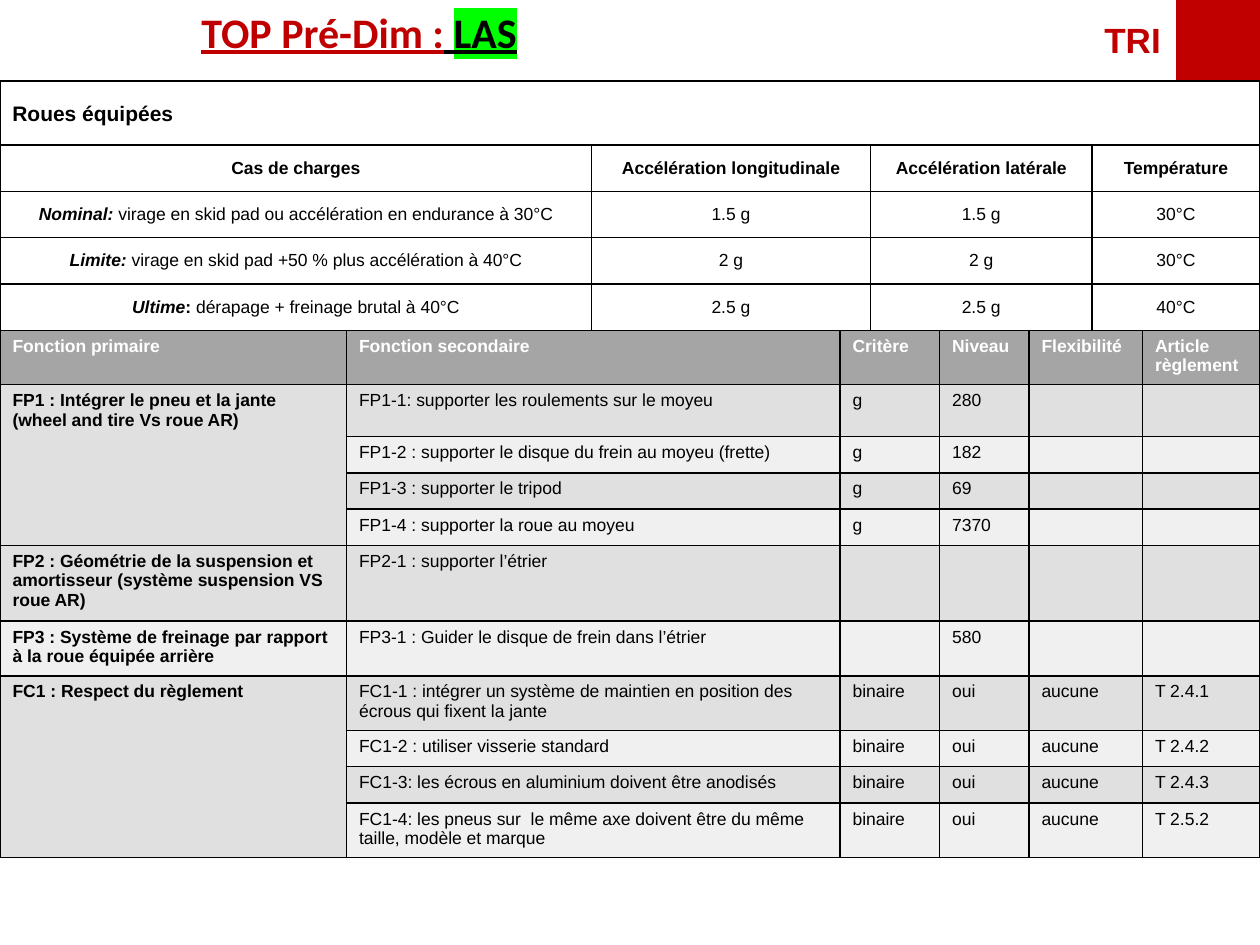
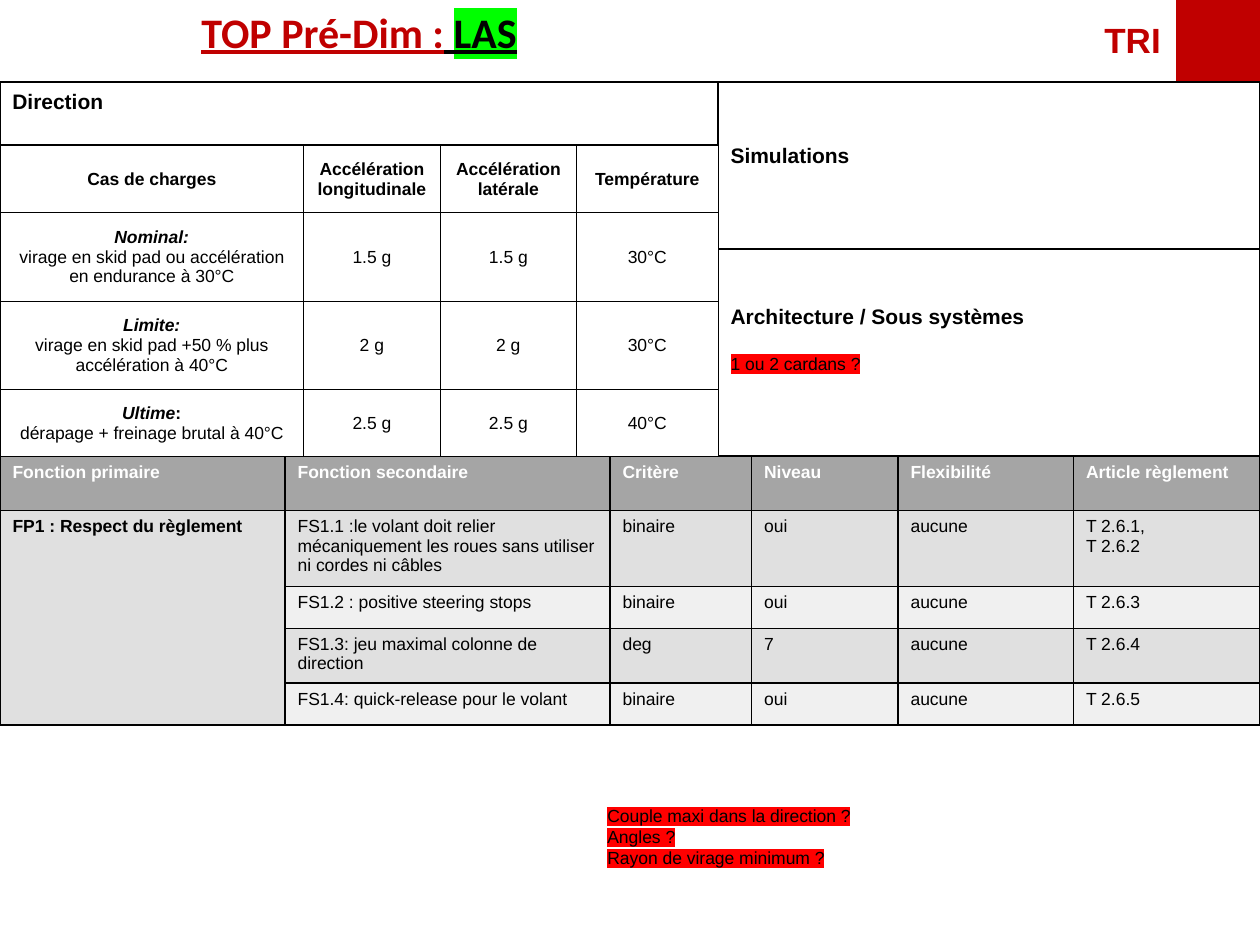
from dataclasses import dataclass

from lxml import etree
from pptx import Presentation
from pptx.dml.color import RGBColor
from pptx.enum.shapes import MSO_SHAPE as SHAPE
from pptx.enum.text import MSO_ANCHOR as ANCHOR, PP_ALIGN as ALIGN
from pptx.oxml.ns import qn
from pptx.util import Pt


@dataclass(frozen=True)
class Theme:
    red: str = "C00000"
    black: str = "000000"
    white: str = "FFFFFF"
    head: str = "A5A5A5"
    bands: tuple = ("E0E0E0", "F0F0F0")
    green_mark: str = "00FF00"
    red_mark: str = "FF0000"
    font: str = "Arial"
    title_font: str = "Calibri"
    title: int = 24
    tag: int = 20
    section: int = 12
    body: int = 10
    inset_x: float = 7.2
    inset_y: float = 3.6


T = Theme()
LEFT_W = 410.4
LINE_H = 13.8

LOAD_HEADS = ["Cas de charges", "Accélération longitudinale",
              "Accélération latérale", "Température"]
BOLD = {"bold": True}
BOLD_ITALIC = {"bold": True, "italic": True}
LOAD_CASES = [
    ([("Nominal:", BOLD_ITALIC)],
     "virage en skid pad ou accélération en endurance à 30°C", "1.5 g", "30°C"),
    ([("Limite:", BOLD_ITALIC)],
     "virage en skid pad +50 % plus accélération à 40°C", "2 g", "30°C"),
    ([("Ultime", BOLD_ITALIC), (":", BOLD)],
     "dérapage + freinage brutal à 40°C", "2.5 g", "40°C"),
]
FUNCTION_HEADS = ["Fonction primaire", "Fonction secondaire", "Critère",
                  "Niveau", "Flexibilité", "Article règlement"]
# An empty first column continues the primary function above.
WHEEL_FUNCTIONS = [
    ["FP1 : Intégrer le pneu et la jante (wheel and tire Vs roue AR)",
     "FP1-1: supporter les roulements sur le moyeu", "g", "280", "", ""],
    ["", "FP1-2 : supporter le disque du frein au moyeu (frette)",
     "g", "182", "", ""],
    ["", "FP1-3 : supporter le tripod", "g", "69", "", ""],
    ["", "FP1-4 : supporter la roue au moyeu", "g", "7370", "", ""],
    ["FP2 : Géométrie de la suspension et amortisseur "
     "(système suspension VS roue AR)",
     "FP2-1 : supporter l’étrier", "", "", "", ""],
    ["FP3 : Système de freinage par rapport à la roue équipée arrière",
     "FP3-1 : Guider le disque de frein dans l’étrier", "", "580", "", ""],
    ["FC1 : Respect du règlement",
     "FC1-1 : intégrer un système de maintien en position des écrous "
     "qui fixent la jante", "binaire", "oui", "aucune", "T 2.4.1"],
    ["", "FC1-2 : utiliser visserie standard",
     "binaire", "oui", "aucune", "T 2.4.2"],
    ["", "FC1-3: les écrous en aluminium doivent être anodisés",
     "binaire", "oui", "aucune", "T 2.4.3"],
    ["", "FC1-4: les pneus sur  le même axe doivent être du même taille, "
     "modèle et marque", "binaire", "oui", "aucune", "T 2.5.2"],
]
STEERING_FUNCTIONS = [
    ["FP1 : Respect du règlement",
     "FS1.1 :le volant doit relier mécaniquement les roues sans utiliser "
     "ni cordes ni câbles", "binaire", "oui", "aucune", "T 2.6.1,\nT 2.6.2"],
    ["", "FS1.2 : positive steering stops",
     "binaire", "oui", "aucune", "T 2.6.3"],
    ["", "FS1.3: jeu maximal colonne de direction",
     "deg", "7", "aucune", "T 2.6.4"],
    ["", "FS1.4: quick-release pour le volant",
     "binaire", "oui", "aucune", "T 2.6.5"],
]


def rgb(code):
    return RGBColor.from_string(code)


def pts(values):
    return [Pt(v) for v in values]


def style_run(r, size=T.body, color=T.black, font=T.font, bold=False,
              italic=False, underline=False, mark=None):
    f = r.font
    f.size, f.name = Pt(size), font
    f.bold, f.italic, f.underline = bold, italic, underline
    f.color.rgb = rgb(color)
    if mark:
        highlight = etree.Element(qn("a:highlight"))
        etree.SubElement(highlight, qn("a:srgbClr"), val=mark)
        r._r.rPr.find(qn("a:solidFill")).addnext(highlight)


def write(tf, paragraphs, align=ALIGN.LEFT):
    """Fill a text frame; each paragraph is a list of (text, style) runs."""
    for i, runs in enumerate(paragraphs):
        p = tf.add_paragraph() if i else tf.paragraphs[0]
        p.alignment = align
        for text, style in runs:
            r = p.add_run()
            r.text = text
            style_run(r, **style)
        if not runs:
            etree.SubElement(p._p, qn("a:endParaRPr"), sz=str(T.body * 100))


def plain(text, **style):
    """Turn lines of text into paragraphs of one run each."""
    return [[(line, style)] if line else [] for line in text.split("\n")]


def add_text(slide, box, paragraphs, align=ALIGN.LEFT):
    tf = slide.shapes.add_textbox(*pts(box)).text_frame
    tf.word_wrap = True
    write(tf, paragraphs, align)
    return tf


def add_rect(slide, box, fill=None, line=None):
    sp = slide.shapes.add_shape(SHAPE.RECTANGLE, *pts(box))
    sp.shadow.inherit = False
    if fill:
        sp.fill.solid()
        sp.fill.fore_color.rgb = rgb(fill)
    else:
        sp.fill.background()
    if line:
        sp.line.color.rgb = rgb(line)
        sp.line.width = Pt(1)
    else:
        sp.line.fill.background()
    return sp


def add_section(slide, box, title, anchor=ANCHOR.MIDDLE, bottom=0, note=None):
    """Outlined box with a heading; bottom lifts its middle-anchored text."""
    tf = add_rect(slide, box, line=T.black).text_frame
    tf.word_wrap = True
    tf.vertical_anchor = anchor
    tf.margin_bottom = Pt(T.inset_y + bottom)
    paragraphs = plain(title, size=T.section, bold=True)
    if note:
        paragraphs += plain(note, mark=T.red_mark)
    write(tf, paragraphs)
    if note:
        tf.paragraphs[-1].space_before = Pt(LINE_H)


def add_header(slide):
    heading = {"size": T.title, "font": T.title_font,
               "bold": True, "underline": True}
    add_text(slide, (0, 0, LEFT_W, 36), [[
        ("TOP Pré-Dim :", {**heading, "color": T.red}),
        (" ", heading),
        ("LAS", {**heading, "mark": T.green_mark})]], ALIGN.CENTER)
    add_text(slide, (624, 7.2, 48.2, 31.7),
             plain("TRI", size=T.tag, color=T.red, bold=True))
    add_rect(slide, (672, 0, 48, 46.4), fill=T.red)


def set_borders(cell, width):
    tc_pr = cell._tc.get_or_add_tcPr()
    for i, side in enumerate(("a:lnL", "a:lnR", "a:lnT", "a:lnB")):
        ln = etree.Element(qn(side), w=str(Pt(width)))
        fill = etree.SubElement(ln, qn("a:solidFill"))
        etree.SubElement(fill, qn("a:srgbClr"), val=T.black)
        tc_pr.insert(i, ln)


def add_table(slide, origin, widths, heights, border):
    frame = slide.shapes.add_table(len(heights), len(widths), *pts(origin),
                                   Pt(sum(widths)), Pt(sum(heights)))
    table = frame.table
    table.first_row = table.horz_banding = False
    for column, width in zip(table.columns, widths):
        column.width = Pt(width)
    for row, height in zip(table.rows, heights):
        row.height = Pt(height)
    for cell in table.iter_cells():
        set_borders(cell, border)
    return table


def fill_cell(cell, paragraphs, fill, inset_y=T.inset_y,
              anchor=ANCHOR.TOP, align=ALIGN.LEFT):
    cell.fill.solid()
    cell.fill.fore_color.rgb = rgb(fill)
    cell.margin_left = cell.margin_right = Pt(T.inset_x)
    cell.margin_top = cell.margin_bottom = Pt(inset_y)
    cell.vertical_anchor = anchor
    write(cell.text_frame, paragraphs, align)


def case_text(label, description, stacked):
    if stacked:
        return [label, [(description, {})]]
    return [label + [(" " + description, {})]]


def add_load_table(slide, origin, widths, heights, stacked=False):
    table = add_table(slide, origin, widths, heights, 0.75)
    rows = [[plain(head, bold=True) for head in LOAD_HEADS]]
    for label, description, accel, temperature in LOAD_CASES:
        rows.append([case_text(label, description, stacked),
                     plain(accel), plain(accel), plain(temperature)])
    for i, row in enumerate(rows):
        for j, paragraphs in enumerate(row):
            fill_cell(table.cell(i, j), paragraphs, T.white, T.inset_x,
                      ANCHOR.MIDDLE, ALIGN.CENTER)


def add_function_table(slide, origin, widths, heights, functions):
    table = add_table(slide, origin, widths, heights, 1)
    for j, head in enumerate(FUNCTION_HEADS):
        fill_cell(table.cell(0, j), plain(head, color=T.white, bold=True),
                  T.head)
    for i, row in enumerate(functions, 1):
        for j, text in enumerate(row):
            fill_cell(table.cell(i, j), plain(text, bold=j == 0),
                      T.bands[(i - 1) % 2])
    starts = [i for i, row in enumerate(functions, 1) if row[0]]
    for first, following in zip(starts, starts[1:] + [len(functions) + 1]):
        if following - first > 1:
            table.cell(first, 0).merge(table.cell(following - 1, 0))


def build_wheels(slide):
    add_header(slide)
    add_section(slide, (0, 46.4, 720, 36.4), "Roues équipées")
    one, two = 20.7, 29.7
    add_function_table(
        slide, (0, 188.6), (198, 282, 56.9, 51.1, 64.9, 67.1),
        (two, two, one, one, one, 40.9, 30.9, two, one, one, two),
        WHEEL_FUNCTIONS)
    add_load_table(slide, (0, 82.9), (338, 159.4, 126.6, 96), [25.6] * 4)


def build_steering(slide):
    add_header(slide)
    right_w = 720 - LEFT_W
    add_section(slide, (0, 46.8, LEFT_W, 36.2), "Direction", ANCHOR.TOP)
    add_section(slide, (LEFT_W, 46.8, right_w, 95.4), "Simulations",
                bottom=11.5)
    add_section(slide, (LEFT_W, 142.2, right_w, 118.6),
                "Architecture / Sous systèmes", bottom=16.1,
                note="1 ou 2 cardans ?")
    add_function_table(
        slide, (0, 260.7), (162.9, 185.7, 80.9, 83.7, 100.3, 106.5),
        (31.1, 42, 24, 29.7, 24), STEERING_FUNCTIONS)
    add_load_table(slide, (0, 83.2), (173.4, 78.2, 77.8, 81),
                   (36.6, 48.6, 48.6, 36.6), stacked=True)
    tf = add_text(slide, (340, 456.5, 245.5, 44), plain(
        "Couple maxi dans la direction ?\nAngles ?\nRayon de virage minimum ?",
        mark=T.red_mark))
    for p in tf.paragraphs:
        p.line_spacing = Pt(12)


def main():
    prs = Presentation()
    prs.slide_width, prs.slide_height = Pt(720), Pt(540)
    for build in (build_wheels, build_steering):
        build(prs.slides.add_slide(prs.slide_layouts[6]))
    prs.save("out.pptx")


if __name__ == "__main__":
    main()
